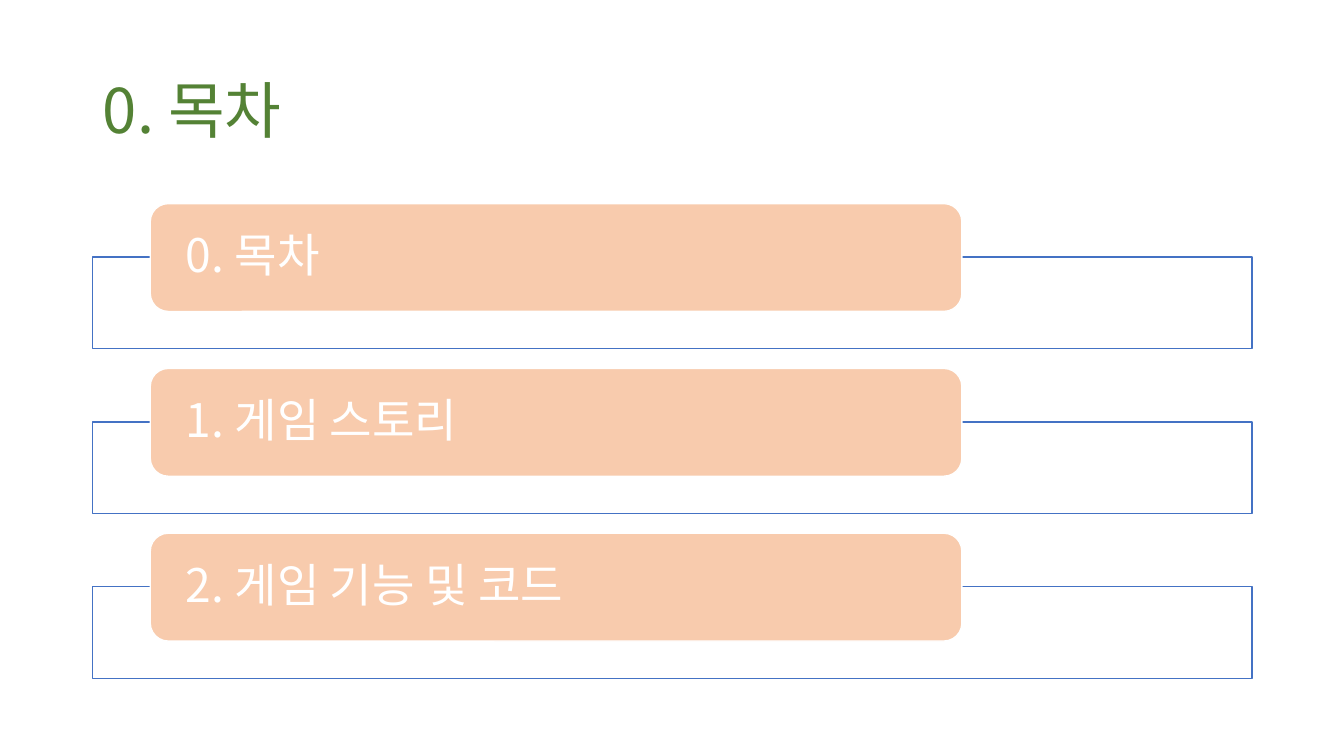
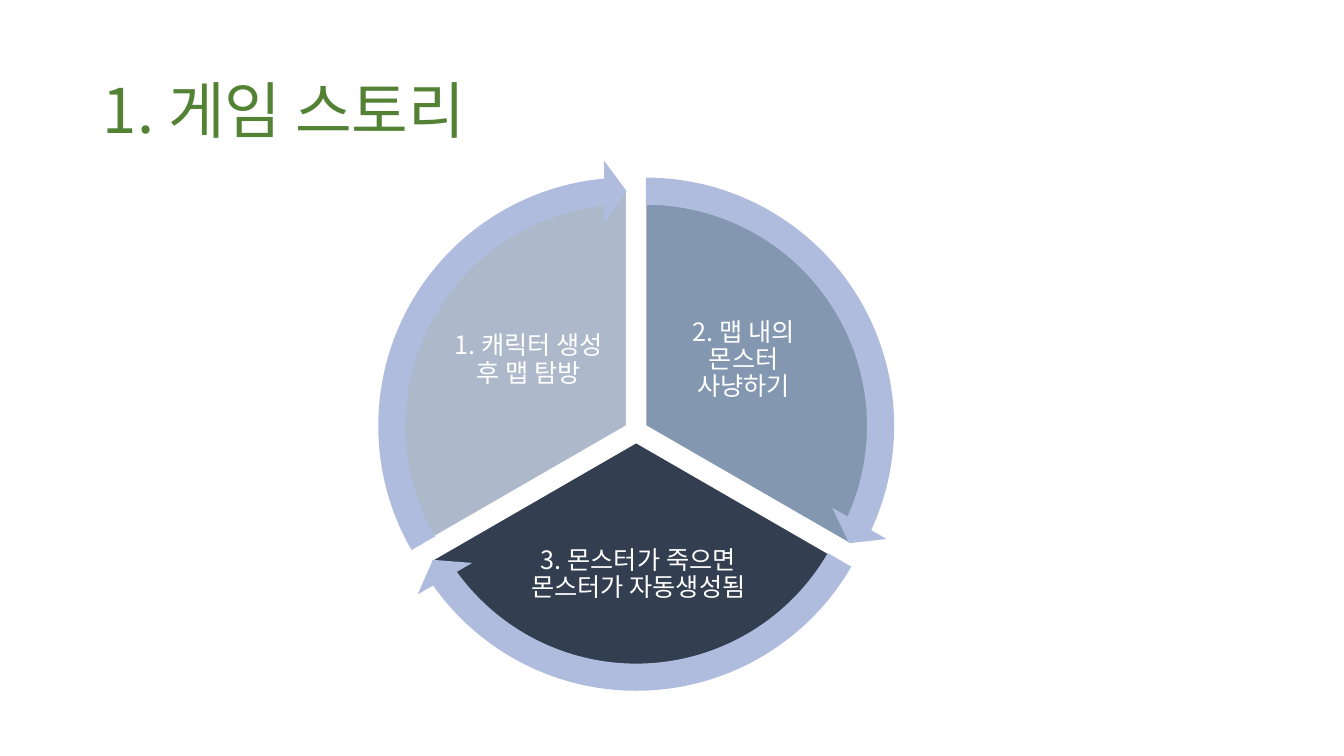
from math import cos, radians, sin

from lxml import etree
from pptx import Presentation
from pptx.dml.color import RGBColor
from pptx.enum.shapes import MSO_SHAPE as Shape
from pptx.enum.text import MSO_ANCHOR as Anchor, PP_ALIGN as Align
from pptx.oxml.ns import qn
from pptx.util import Inches, Pt

FONT = "Noto Sans CJK KR"
COLORS = {
    "title": "548235",
    "white": "FFFFFF",
    "frame": "4472C4",
    "agenda": "F8CBAD",
    "arrow": "B0BCDE",
    "hunt": "8497B0",
    "respawn": "333F50",
    "explore": "ADB9CA",
}
AGENDA = ["0. 목차", "1. 게임 스토리", "2. 게임 기능 및 코드"]
# Wording, colour, start angle of the sector, label box relative to the pie box
STORY = [
    ("2. 맵 내의 몬스터 사냥하기", "hunt", 270, (2.48, 1, 1.68, 1.4)),
    ("3. 몬스터가 죽으면 몬스터가 자동생성됨", "respawn", 30, (1.11, 3.05, 2.52, 1.23)),
    ("1. 캐릭터 생성 후 맵 탐방", "explore", 150, (0.54, 1, 1.68, 1.4)),
]
ANGLE_UNIT = 0.6  # one degree, in the scale of shape adjustments


def rgb(name):
    return RGBColor.from_string(COLORS[name])


def inches(*lengths):
    return [Inches(length) for length in lengths]


def write(frame, text, size, color, align=Align.LEFT, insets=(0.1, 0.05)):
    """Fill a text frame with one paragraph; insets are horizontal, vertical."""
    frame.word_wrap = True
    frame.vertical_anchor = Anchor.MIDDLE
    frame.margin_left = frame.margin_right = Inches(insets[0])
    frame.margin_top = frame.margin_bottom = Inches(insets[1])
    paragraph = frame.paragraphs[0]
    paragraph.alignment = align
    paragraph.line_spacing = 0.9
    run = paragraph.add_run()
    run.text = text
    run.font.size = Pt(size)
    run.font.color.rgb = rgb(color)
    run.font.name = FONT
    east_asian = etree.SubElement(run.font._element, qn("a:ea"))
    east_asian.set("typeface", FONT)


def add_block(slide, kind, box, fill, line=None):
    block = slide.shapes.add_shape(kind, *inches(*box))
    block.shadow.inherit = False
    block.fill.solid()
    block.fill.fore_color.rgb = rgb(fill)
    if line:
        block.line.color.rgb = rgb(line)
        block.line.width = Pt(1)
    else:
        block.line.fill.background()
    return block


def add_titled_slide(deck, text):
    slide = deck.slides.add_slide(deck.slide_layouts[5])
    title = slide.shapes.title
    title.left, title.top, title.width, title.height = inches(0.92, 0.4, 11.5, 1.45)
    write(title.text_frame, text, 44, "title")
    return slide


def add_agenda_item(slide, text, left, top, width):
    add_block(slide, Shape.RECTANGLE, (left, top + 0.53, width, 0.91), "white", "frame")
    tab = add_block(slide, Shape.ROUNDED_RECTANGLE,
                    (left + 0.57, top, width * 0.7, 1.07), "agenda", "white")
    write(tab.text_frame, text, 33, "white", insets=(0.3, 0))


def add_agenda(slide, left, top, width, pitch):
    for index, text in enumerate(AGENDA):
        add_agenda_item(slide, text, left, top + index * pitch, width)


def add_sector(slide, text, color, start, label_box, left, top, size):
    sector = add_block(slide, Shape.PIE, (left, top, size, size), color, "white")
    sector.adjustments[0] = start * ANGLE_UNIT
    sector.adjustments[1] = (start + 120) % 360 * ANGLE_UNIT
    dx, dy, width, height = label_box
    label = slide.shapes.add_textbox(*inches(left + dx, top + dy, width, height))
    write(label.text_frame, text, 18, "white", Align.CENTER, (0.03, 0.03))


def add_cycle_arrow(slide, start, left, top, size):
    arrow = add_block(slide, Shape.CIRCULAR_ARROW, (left, top, size, size), "arrow")
    head = 3.275
    end = (start + 120) % 360 * ANGLE_UNIT
    settings = (0.051, head, end - head, start * ANGLE_UNIT, 0.059)
    for index, setting in enumerate(settings):
        arrow.adjustments[index] = setting


def add_story_cycle(slide, center_x, center_y, size):
    """Draw sectors pushed out from the centre, then the arrows around them."""
    push, ring = 0.11, 0.29
    corners = []
    for text, color, start, label_box in STORY:
        middle = radians(start + 60)
        left = center_x + push * cos(middle) - size / 2
        top = center_y + push * sin(middle) - size / 2
        add_sector(slide, text, color, start, label_box, left, top, size)
        corners.append((start, left - ring, top - ring))
    for start, left, top in corners:
        add_cycle_arrow(slide, start, left, top, size + 2 * ring)


def main():
    deck = Presentation()
    deck.slide_width, deck.slide_height = inches(13.33, 7.5)
    add_agenda(add_titled_slide(deck, AGENDA[0]), 0.92, 2.02, 11.5, 1.635)
    add_story_cycle(add_titled_slide(deck, AGENDA[1]), 6.31, 4.28, 4.7)
    deck.save("out.pptx")


if __name__ == "__main__":
    main()
